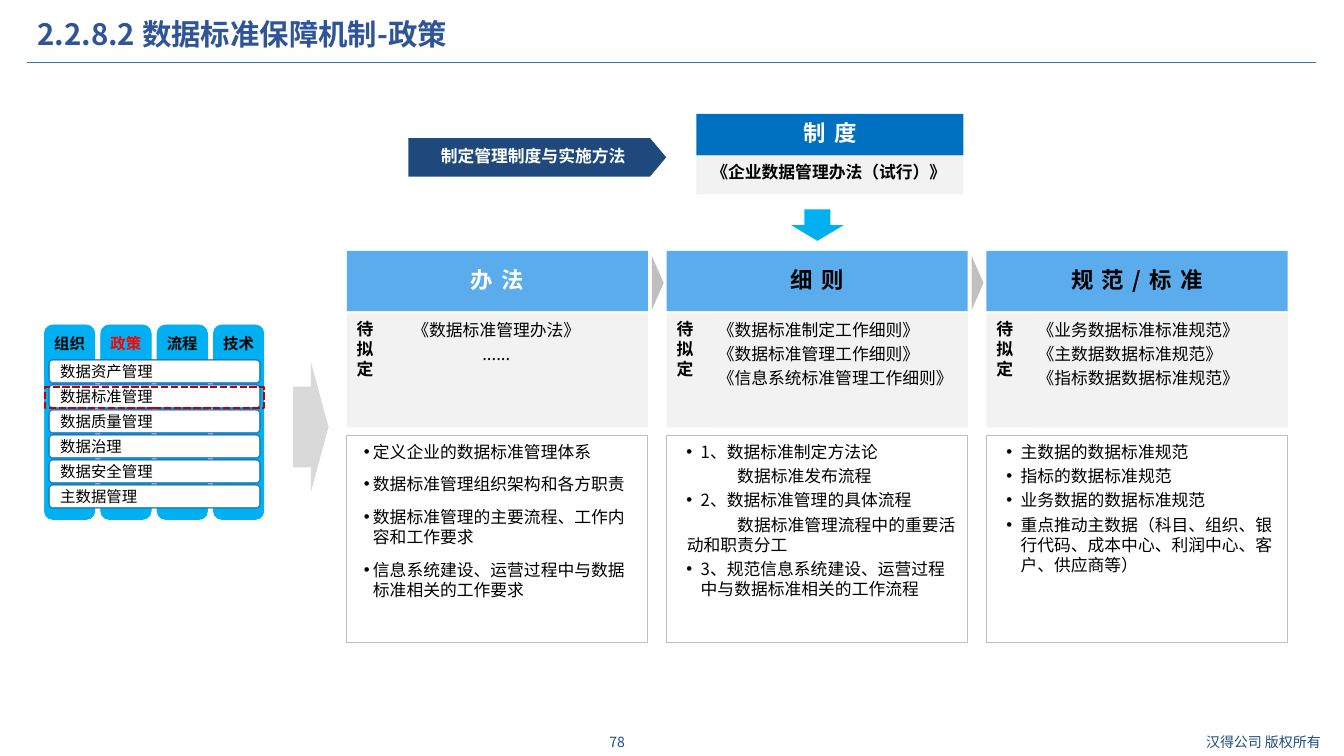
from lxml.etree import SubElement
from pptx import Presentation
from pptx.dml.color import RGBColor
from pptx.enum.dml import MSO_LINE
from pptx.enum.shapes import MSO_CONNECTOR, MSO_SHAPE as Shape
from pptx.enum.text import MSO_ANCHOR as Anchor, MSO_AUTO_SIZE, PP_ALIGN as Align
from pptx.oxml.ns import qn
from pptx.util import Cm, Pt

FONT = "Noto Sans CJK SC"
BLACK, WHITE, PALE, GREY, SKY = "000000", "FFFFFF", "F2F2F2", "BFBFBF", "00B0F0"
CARD_MARGINS = (0.15, 0.15, 0.2, 0.23)
HEADER_MARGINS = (0.08, 0.05, 0.08, 0.05)
DEFAULT_MARGINS = (0.25, 0.13, 0.25, 0.13)
HANGING, WIDE_HANGING, FIRST_LINE = (0.51, -0.23), (0.71, -0.36), (0.36, 1.27)

HEADER = {"size": 16, "bold": True, "spacing": 6, "align": Align.CENTER,
          "anchor": Anchor.MIDDLE, "margins": HEADER_MARGINS, "paragraph": {"line_spacing": 0.9}}
CARD = {"margins": CARD_MARGINS, "paragraph": {"space_after": Pt(3)}}
FOOTER = {"size": 10, "color": "1F4E79", "align": Align.CENTER, "anchor": Anchor.MIDDLE}

COLUMN_LEFT, COLUMN_STEP, COLUMN_WIDTH = 8.74, 8.06, 7.59
COLUMNS = [
    {"title": "办法", "color": WHITE, "inset": 0, "align": Align.CENTER, "gap": 6,
     "documents": ["《数据标准管理办法》", "......"],
     "details": [("定义企业的数据标准管理体系", HANGING),
                 ("数据标准管理组织架构和各方职责", HANGING),
                 ("数据标准管理的主要流程、工作内容和工作要求", HANGING),
                 ("信息系统建设、运营过程中与数据标准相关的工作要求", HANGING)]},
    {"title": "细则", "color": BLACK, "inset": 1.14, "align": Align.LEFT, "gap": 0,
     "documents": ["《数据标准制定工作细则》", "《数据标准管理工作细则》", "《信息系统标准管理工作细则》"],
     "details": [("1、数据标准制定方法论", WIDE_HANGING),
                 ("数据标准发布流程", FIRST_LINE),
                 ("2、数据标准管理的具体流程", WIDE_HANGING),
                 ("数据标准管理流程中的重要活动和职责分工", FIRST_LINE),
                 ("3、规范信息系统建设、运营过程中与数据标准相关的工作流程", WIDE_HANGING)]},
    {"title": "规范/标准", "color": BLACK, "inset": 1.14, "align": Align.LEFT, "gap": 0,
     "documents": ["《业务数据标准标准规范》", "《主数据数据标准规范》", "《指标数据数据标准规范》"],
     "details": [("主数据的数据标准规范", WIDE_HANGING),
                 ("指标的数据标准规范", WIDE_HANGING),
                 ("业务数据的数据标准规范", WIDE_HANGING),
                 ("重点推动主数据（科目、组织、银行代码、成本中心、利润中心、客户、供应商等）", WIDE_HANGING)]},
]
PILLARS = [("组织", BLACK), ("政策", "FF0000"), ("流程", BLACK), ("技术", BLACK)]
DOMAINS = ["数据资产管理", "数据标准管理", "数据质量管理", "数据治理", "数据安全管理", "主数据管理"]


def rgb(value):
    return RGBColor.from_string(value)


class SlideBuilder:
    """Draws styled elements on the current slide, with lengths in centimetres."""

    def __init__(self, presentation):
        self.slide = presentation.slides.add_slide(presentation.slide_layouts[5])
        self.shapes = self.slide.shapes

    def start_group(self):
        self.shapes = self.slide.shapes.add_group_shape().shapes

    def end_group(self):
        self.shapes = self.slide.shapes

    def set_text(self, shape, lines, size=12, color=BLACK, bold=False, spacing=0, align=Align.LEFT,
                 anchor=Anchor.TOP, margins=DEFAULT_MARGINS, gap=0, paragraph=None):
        frame = shape.text_frame
        sides = ("margin_left", "margin_top", "margin_right", "margin_bottom")
        layout = {"word_wrap": True, "auto_size": MSO_AUTO_SIZE.NONE, "vertical_anchor": anchor,
                  **{side: Cm(value) for side, value in zip(sides, margins)}}
        for name, value in layout.items():
            setattr(frame, name, value)
        for index, line in enumerate(lines):
            text, indent = line if isinstance(line, tuple) else (line, None)
            item = frame.add_paragraph() if index else frame.paragraphs[0]
            settings = {"alignment": align, "space_before": Pt(gap if index else 0), **(paragraph or {})}
            for name, value in settings.items():
                setattr(item, name, value)
            if indent:
                self.indent(item, *indent)
            run = item.add_run()
            run.text = text
            for name, value in {"name": FONT, "size": Pt(size), "bold": bold}.items():
                setattr(run.font, name, value)
            run.font.color.rgb = rgb(color)
            properties = run._r.get_or_add_rPr()
            SubElement(properties, qn("a:ea")).set("typeface", FONT)
            if spacing:
                properties.set("spc", str(spacing * 100))

    def indent(self, paragraph, left, first):
        properties = paragraph._p.get_or_add_pPr()
        properties.set("marL", str(Cm(left)))
        properties.set("indent", str(Cm(first)))
        if first < 0:
            SubElement(properties, qn("a:buFont")).set("typeface", "Arial")
            SubElement(properties, qn("a:buChar")).set("char", "•")

    def title(self, box, text, **style):
        placeholder = self.slide.shapes.title
        for name, value in zip(("left", "top", "width", "height"), box):
            setattr(placeholder, name, Cm(value))
        self.set_text(placeholder, [text], **style)

    def text(self, box, text, **style):
        self.set_text(self.shapes.add_textbox(*map(Cm, box)), [text], **style)

    def shape(self, kind, box, fill=None, line=None, lines=(), adjustments=(), rotation=0, **style):
        shape = self.shapes.add_shape(kind, *map(Cm, box))
        shape.shadow.inherit = False
        shape.rotation = rotation
        for index, value in enumerate(adjustments):
            shape.adjustments[index] = value
        if fill:
            shape.fill.solid()
            shape.fill.fore_color.rgb = rgb(fill)
        else:
            shape.fill.background()
        if line:
            self.outline(shape, *line)
        else:
            shape.line.fill.background()
        if lines:
            self.set_text(shape, lines, **style)

    def outline(self, shape, color, width, dash=None, opacity=100):
        shape.line.color.rgb = rgb(color)
        shape.line.width = Pt(width)
        if dash:
            shape.line.dash_style = dash
        if opacity < 100:
            tint = shape.line._ln.find(".//" + qn("a:srgbClr"))
            SubElement(tint, qn("a:alpha")).set("val", str(opacity * 1000))

    def rule(self, left, top, right, color, width):
        connector = self.shapes.add_connector(
            MSO_CONNECTOR.STRAIGHT, Cm(left), Cm(top), Cm(right), Cm(top))
        self.outline(connector, color, width)
        SubElement(connector._element.spPr, qn("a:effectLst"))

    def column(self, left, column):
        inset = column["inset"]
        if inset:
            self.shape(Shape.RECTANGLE, (left, 7.9, COLUMN_WIDTH, 2.87), PALE)
        self.shape(Shape.RECTANGLE, (left, 6.32, COLUMN_WIDTH, 1.52), "5AACEC",
                   lines=[column["title"]], color=column["color"], **HEADER)
        self.shape(Shape.RECTANGLE, (left + inset, 7.9, COLUMN_WIDTH - inset, 2.87), PALE,
                   lines=column["documents"], align=column["align"], **CARD)
        self.text((left, 7.9, 0.74, 1.8), "待拟定", bold=True)
        self.shape(Shape.RECTANGLE, (left, 10.97, COLUMN_WIDTH, 5.23), line=(GREY, 0.75),
                   lines=column["details"], gap=column["gap"], **CARD)

    def matrix(self):
        self.start_group()
        for index, (name, color) in enumerate(PILLARS):
            self.shape(Shape.ROUNDED_RECTANGLE, (1.12 + 1.42 * index, 8.19, 1.27, 4.9), SKY, (SKY, 0.5),
                       [name], size=11, color=color, bold=True, align=Align.CENTER,
                       margins=(0.13, 0.1, 0.13, 0.13), paragraph={"line_spacing": Pt(15)})
        for index, name in enumerate(DOMAINS):
            self.shape(Shape.ROUNDED_RECTANGLE, (1.24, 9.07 + 0.63 * index, 5.31, 0.58), WHITE,
                       ("1368B3", 1, MSO_LINE.SOLID, 75), [name], size=11, anchor=Anchor.MIDDLE)
        self.end_group()


def main():
    presentation = Presentation()
    presentation.slide_width, presentation.slide_height = Cm(33.87), Cm(19.05)
    builder = SlideBuilder(presentation)

    builder.text((14.66, 18.36, 1.78, 0.69), "78", **FOOTER)
    builder.text((29.82, 18.36, 4.04, 0.69), "汉得公司 版权所有", **FOOTER)
    builder.rule(0.69, 1.57, 33.17, "2E75B6", 0.75)
    builder.title((0.69, 0.38, 29.39, 1.07), "2.2.8.2 数据标准保障机制-政策", size=21, color="2F5597",
                  bold=True, paragraph={"line_spacing": 0.9})

    builder.shape(Shape.RECTANGLE, (17.55, 2.87, 6.73, 1.05), "0070C0",
                  lines=["制度"], color=WHITE, **HEADER)
    builder.shape(Shape.RECTANGLE, (17.55, 3.93, 6.73, 0.97), PALE,
                  lines=["《企业数据管理办法（试行）》"], bold=True, align=Align.CENTER, **CARD)

    for index, column in enumerate(COLUMNS):
        left = COLUMN_LEFT + COLUMN_STEP * index
        builder.column(left, column)
        if index:
            builder.shape(Shape.ISOSCELES_TRIANGLE, (left - 0.91, 6.98, 1.37, 0.3), GREY, rotation=90)

    builder.shape(Shape.RIGHT_ARROW, (7.39, 9.12, 0.89, 3.28), "D9D9D9", adjustments=(0.62, 0.5))
    builder.matrix()
    builder.shape(Shape.PENTAGON, (10.29, 3.48, 6.5, 0.97), "1F497D", adjustments=(0.42,),
                  lines=["制定管理制度与实施方法"], color=WHITE, bold=True, align=Align.CENTER,
                  anchor=Anchor.MIDDLE, paragraph={"line_spacing": 0.85})
    builder.shape(Shape.DOWN_ARROW, (19.94, 5.28, 1.32, 0.79), SKY)
    builder.shape(Shape.RECTANGLE, (1.14, 9.75, 5.51, 0.53), line=("C00000", 1.75, MSO_LINE.SQUARE_DOT))
    presentation.save("out.pptx")


if __name__ == "__main__":
    main()
